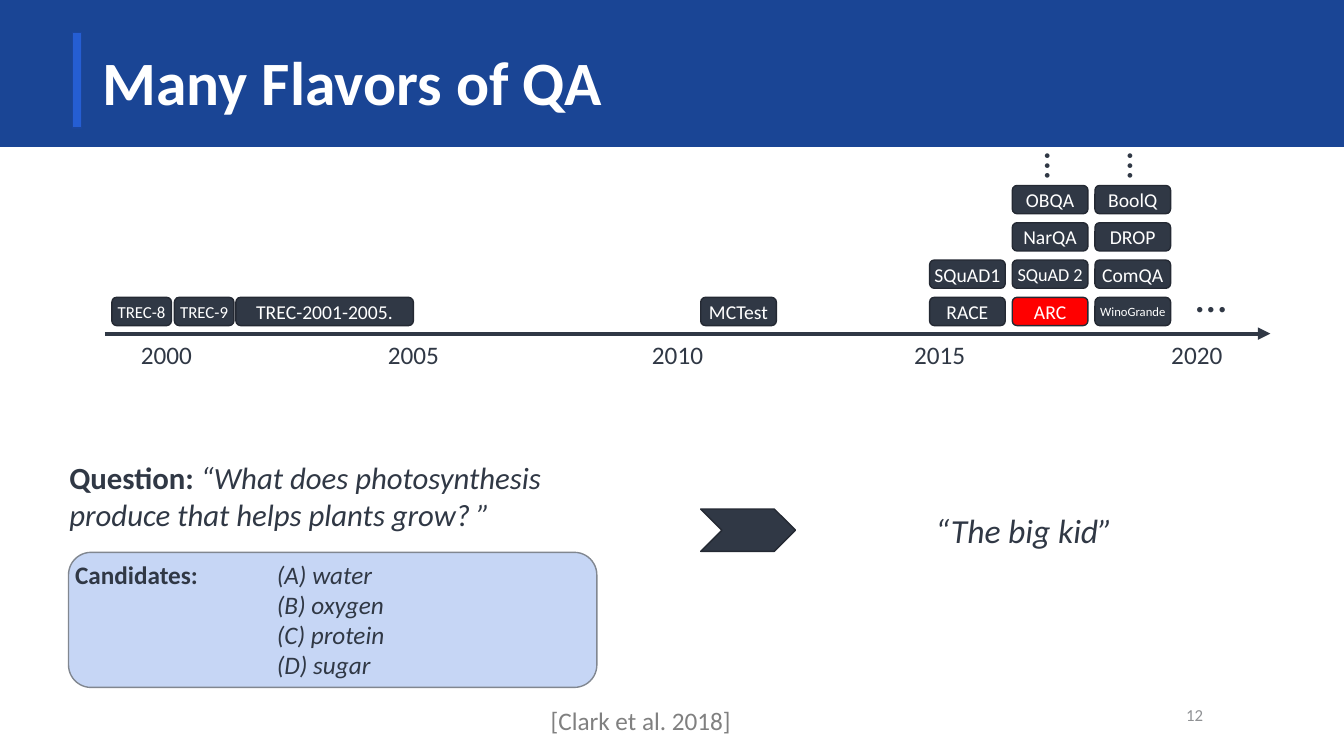
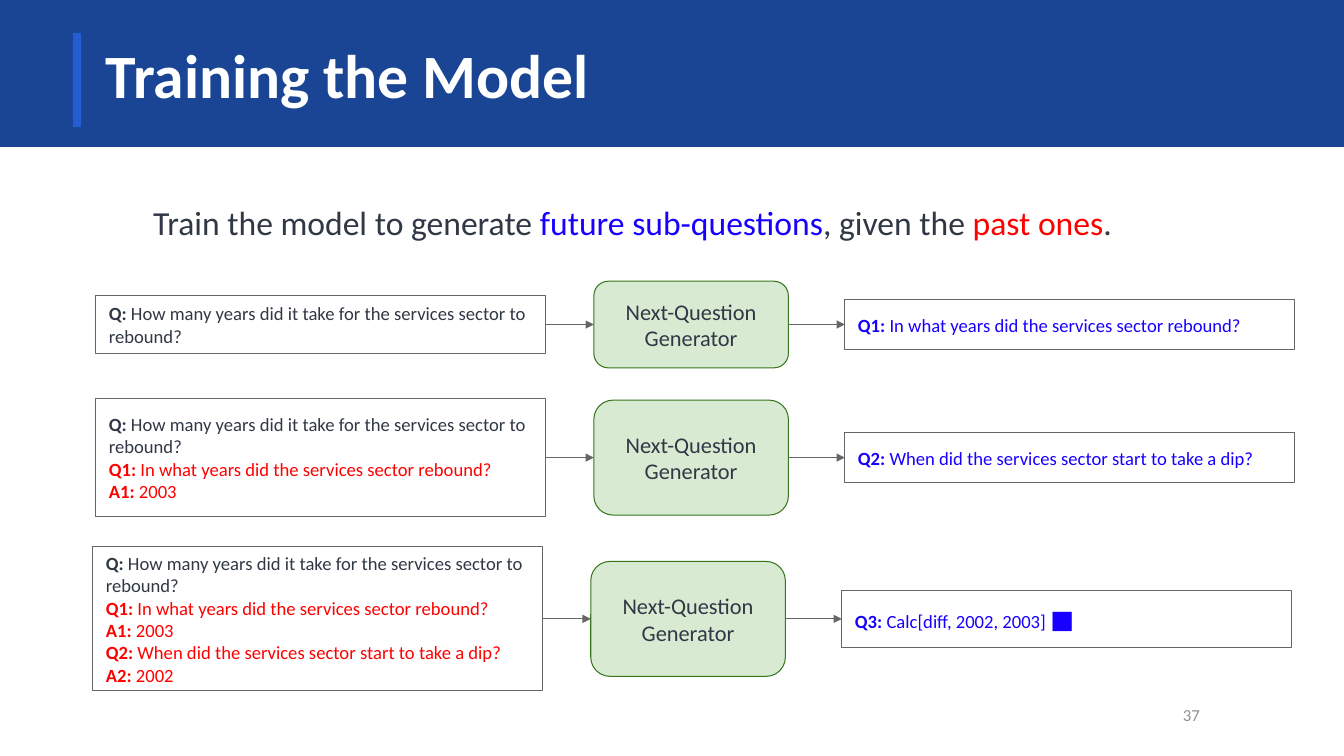
from dataclasses import dataclass
from typing import NamedTuple, Optional

from lxml import etree
from pptx import Presentation
from pptx.dml.color import RGBColor
from pptx.enum.shapes import MSO_CONNECTOR, MSO_SHAPE
from pptx.enum.text import MSO_ANCHOR, PP_ALIGN
from pptx.oxml.ns import qn
from pptx.shapes.autoshape import Shape
from pptx.shapes.connector import Connector
from pptx.slide import Slide
from pptx.util import Inches, Pt

LEFT, CENTER, RIGHT = PP_ALIGN.LEFT, PP_ALIGN.CENTER, PP_ALIGN.RIGHT
TOP, MIDDLE = MSO_ANCHOR.TOP, MSO_ANCHOR.MIDDLE
RECT, ROUNDED = MSO_SHAPE.RECTANGLE, MSO_SHAPE.ROUNDED_RECTANGLE
CHEVRON, CANDIDATE_BOX = MSO_SHAPE.CHEVRON, MSO_SHAPE.FLOWCHART_ALTERNATE_PROCESS
SIDE_LEFT, SIDE_RIGHT = 1, 3


@dataclass(frozen=True)
class Theme:
    font: str = "Calibri"
    white: str = "FFFFFF"
    band: str = "1A4595"
    accent: str = "255ED3"
    accent_edge: str = "1B469C"
    ink: str = "303845"
    ink_edge: str = "242933"
    red: str = "FF0000"
    blue: str = "1700FF"
    pale_blue: str = "C6D6F5"
    pale_blue_edge: str = "818790"
    green: str = "D9EAD3"
    green_edge: str = "38761D"
    gray: str = "666666"
    citation: str = "808080"
    page: str = "8F9194"
    title_size: float = 44
    lead_size: float = 24
    question_size: float = 22
    label_size: float = 18
    generator_size: float = 16
    chip_size: float = 14
    dialog_size: float = 13.3
    page_size: float = 12


THEME = Theme()


class Box(NamedTuple):
    left: float
    top: float
    width: float
    height: float


class Span(NamedTuple):
    text: str
    color: str = THEME.ink
    bold: bool = False
    italic: bool = False
    size: Optional[float] = None


class Chip(NamedTuple):
    name: str
    left: float
    width: float = 0.75
    level: int = 0
    size: float = THEME.chip_size
    fill: str = THEME.ink


class Turn(NamedTuple):
    label: str
    words: str


@dataclass(frozen=True)
class Step:
    center: float
    history: list[Turn]
    output: list[Span]
    input_height: float
    generator_height: float
    output_height: float
    shift: float = 0


QUESTION = Turn("Q: ", "How many years did it take for the services sector to rebound?")
FIRST = Turn("Q1:", " In what years did the services sector rebound?")
SECOND = Turn("Q2: ", "When did the services sector start to take a dip?")
FIRST_ANSWER = Turn("A1:", " 2003")
SECOND_ANSWER = Turn("A2:", " 2002")

YEARS = {"2000": 1.65, "2005": 4.1, "2010": 6.72, "2015": 9.32, "2020": 11.87}
CHIP_HEIGHT, CHIP_TOP, CHIP_PITCH = 0.28, 2.95, 0.37
COL_2015, COL_2017, COL_2018 = 9.22, 10.04, 10.86
CHIPS = [
    Chip("TREC-8", 1.11, 0.59, size=12),
    Chip("TREC-9", 1.73, 0.59, size=12),
    Chip("TREC-2001-2005.", 2.34, 1.76),
    Chip("MCTest", 6.95),
    Chip("RACE", COL_2015),
    Chip("SQuAD1", COL_2015, level=1),
    Chip("ARC", COL_2017, fill=THEME.red),
    Chip("SQuAD 2", COL_2017, level=1, size=13),
    Chip("NarQA", COL_2017, level=2),
    Chip("OBQA", COL_2017, level=3),
    Chip("WinoGrande", COL_2018, size=9),
    Chip("ComQA", COL_2018, level=1),
    Chip("DROP", COL_2018, level=2),
    Chip("BoolQ", COL_2018, level=3),
]
CANDIDATES = ["(A) water", "(B) oxygen", "(C) protein", "(D) sugar"]


def asked(turn: Turn, color: str) -> list[Span]:
    return [Span(turn.label, color, bold=True), Span(turn.words, color)]


STEPS = [
    Step(3.22, [QUESTION], asked(FIRST, THEME.blue), 0.58, 0.86, 0.49),
    Step(4.54, [QUESTION, FIRST, FIRST_ANSWER], asked(SECOND, THEME.blue),
         1.17, 1.14, 0.49),
    Step(6.14, [QUESTION, FIRST, FIRST_ANSWER, SECOND, SECOND_ANSWER],
         asked(Turn("Q3: ", "Calc[diff, 2002, 2003] "), THEME.blue)
         + [Span("■", THEME.blue, size=18)],
         1.43, 1.14, 0.57, shift=-0.03),
]


def rgb(color: str) -> RGBColor:
    return RGBColor.from_string(color)


def write(shape: Shape, lines: list[list[Span]], size: float, align: PP_ALIGN = LEFT,
          anchor: MSO_ANCHOR = TOP, inset: Optional[float] = None, wrap: bool = True,
          spacing: Optional[float] = None, tab: Optional[float] = None) -> None:
    """Fill a shape with one paragraph per line; inset None keeps the default."""
    frame = shape.text_frame
    frame.word_wrap = wrap
    frame.vertical_anchor = anchor
    if inset is not None:
        frame.margin_left = frame.margin_right = Inches(inset)
        frame.margin_top = frame.margin_bottom = Inches(inset)
    for index, spans in enumerate(lines):
        paragraph = frame.add_paragraph() if index else frame.paragraphs[0]
        paragraph.alignment = align
        if spacing is not None:
            paragraph.line_spacing = spacing
        if tab is not None:
            stops = etree.SubElement(paragraph._p.get_or_add_pPr(), qn("a:tabLst"))
            etree.SubElement(stops, qn("a:tab"), pos=str(Inches(tab)), algn="l")
        for span in spans:
            run = paragraph.add_run()
            run.text = span.text
            run.font.name = THEME.font
            run.font.size = Pt(span.size or size)
            run.font.bold = span.bold
            run.font.italic = span.italic
            run.font.color.rgb = rgb(span.color)


def add_label(slide: Slide, box: Box, spans: list[Span], size: float, **layout) -> Shape:
    label = slide.shapes.add_textbox(*map(Inches, box))
    write(label, [spans], size, **layout)
    return label


def add_block(slide: Slide, kind: MSO_SHAPE, box: Box, fill: Optional[str],
              edge: str, edge_width: float = 1) -> Shape:
    block = slide.shapes.add_shape(kind, *map(Inches, box))
    block.shadow.inherit = False
    if fill is None:
        block.fill.background()
    else:
        block.fill.solid()
        block.fill.fore_color.rgb = rgb(fill)
    block.line.color.rgb = rgb(edge)
    block.line.width = Pt(edge_width)
    return block


def add_arrow(slide: Slide, start: tuple[float, float], end: tuple[float, float],
              color: str, width: float) -> Connector:
    arrow = slide.shapes.add_connector(
        MSO_CONNECTOR.STRAIGHT, *map(Inches, (*start, *end)))
    arrow.line.color.rgb = rgb(color)
    arrow.line.width = Pt(width)
    properties = arrow._element.spPr
    etree.SubElement(properties.find(qn("a:ln")), qn("a:tailEnd"), type="triangle")
    etree.SubElement(properties, qn("a:effectLst"))
    return arrow


def join(slide: Slide, source: Shape, target: Shape) -> None:
    """Draw an arrow from the right side of source to the left side of target."""
    arrow = add_arrow(slide, (0, 0), (1, 0), THEME.gray, 0.75)
    arrow.begin_connect(source, SIDE_RIGHT)
    arrow.end_connect(target, SIDE_LEFT)


def add_base(deck: Presentation, title: str, page: str, inset: Optional[float] = None,
             title_anchor: MSO_ANCHOR = MIDDLE) -> Slide:
    """Add a slide with the title band and the page number."""
    slide = deck.slides.add_slide(deck.slide_layouts[6])
    add_block(slide, RECT, Box(0, 0, 13.33, 1.45), THEME.band, THEME.band)
    add_block(slide, RECT, Box(0.72, 0.32, 0.09, 0.95), THEME.accent, THEME.accent_edge)
    add_label(slide, Box(0.92, 0.32, 11.5, 1.05), [Span(title, THEME.white, bold=True)],
              THEME.title_size, anchor=title_anchor, inset=inset, spacing=0.9)
    add_label(slide, Box(11.45, 6.89, 0.58, 0.4), [Span(page, THEME.page)],
              THEME.page_size, align=RIGHT, anchor=MIDDLE, inset=inset)
    return slide


def add_chip(slide: Slide, chip: Chip) -> None:
    top = CHIP_TOP - chip.level * CHIP_PITCH
    block = add_block(slide, ROUNDED, Box(chip.left, top, chip.width, CHIP_HEIGHT),
                      chip.fill, THEME.ink_edge)
    write(block, [[Span(chip.name, THEME.white)]], chip.size, CENTER, MIDDLE, inset=0)


def build_flavors(deck: Presentation) -> None:
    slide = add_base(deck, "Many Flavors of QA", "12")
    add_arrow(slide, (1.04, 3.31), (12.6, 3.31), THEME.ink, 3)
    for year, center in YEARS.items():
        add_label(slide, Box(center - 0.4, 3.32, 0.8, 0.4), [Span(year)],
                  THEME.label_size, align=CENTER)
    for chip in CHIPS:
        add_chip(slide, chip)
    add_label(slide, Box(11.76, 2.61, 0.56, 0.64), [Span("…")], 32, wrap=False)
    for left in (10, 10.82):
        more = add_label(slide, Box(left, 1.34, 0.51, 0.57), [Span("…")], 28, wrap=False)
        more.rotation = 270

    add_label(slide, Box(0.59, 4.5, 5.77, 0.84), [
        Span("Question: ", bold=True),
        Span("“What does photosynthesis produce that helps plants grow? ”", italic=True),
    ], THEME.question_size)
    candidates = add_block(slide, CANDIDATE_BOX, Box(0.68, 5.48, 5.24, 1.34),
                           THEME.pale_blue, THEME.pale_blue_edge)
    lines = [[Span("\t" + choice, italic=True)] for choice in CANDIDATES]
    lines[0].insert(0, Span("Candidates:", bold=True))
    write(candidates, lines, THEME.label_size, inset=0, tab=2)

    add_block(slide, CHEVRON, Box(6.95, 5.05, 0.94, 0.42), THEME.ink, THEME.ink_edge)
    add_label(slide, Box(9.08, 5.01, 2.15, 0.5), [Span("“The big kid”", italic=True)],
              THEME.lead_size, align=CENTER)
    add_label(slide, Box(3.02, 6.95, 6.67, 0.4),
              [Span("[Clark et al. 2018]", THEME.citation)],
              THEME.label_size, align=CENTER)


def add_step(slide: Slide, step: Step) -> None:
    """Draw one row: past questions, the generator and the next question."""
    def centered(left: float, width: float, height: float) -> Box:
        return Box(left + step.shift, step.center - height / 2, width, height)

    past = add_block(slide, RECT, centered(0.95, 4.46, step.input_height),
                     None, THEME.gray, 0.75)
    write(past, [asked(turn, THEME.ink if turn is QUESTION else THEME.red)
                 for turn in step.history],
          THEME.dialog_size, anchor=MIDDLE, inset=0.13)
    generator = add_block(slide, ROUNDED, centered(5.89, 1.93, step.generator_height),
                          THEME.green, THEME.green_edge, 0.75)
    write(generator, [[Span("Next-Question Generator")]], THEME.generator_size,
          CENTER, MIDDLE, inset=0.13)
    future = add_block(slide, RECT, centered(8.38, 4.46, step.output_height),
                       None, THEME.gray, 0.75)
    write(future, [step.output], THEME.dialog_size, anchor=MIDDLE, inset=0.13)
    join(slide, past, generator)
    join(slide, generator, future)


def build_training(deck: Presentation) -> None:
    slide = add_base(deck, "Training the Model", "37", inset=0.13, title_anchor=TOP)
    add_label(slide, Box(1.42, 2, 11.3, 0.5), [
        Span("Train the model to generate "),
        Span("future sub-questions", THEME.blue),
        Span(", given the "),
        Span("past ones", THEME.red),
        Span("."),
    ], THEME.lead_size, spacing=0.9)
    for step in STEPS:
        add_step(slide, step)


def main() -> None:
    deck = Presentation()
    deck.slide_width, deck.slide_height = Inches(13.33), Inches(7.5)
    build_flavors(deck)
    build_training(deck)
    deck.save("out.pptx")


if __name__ == "__main__":
    main()
